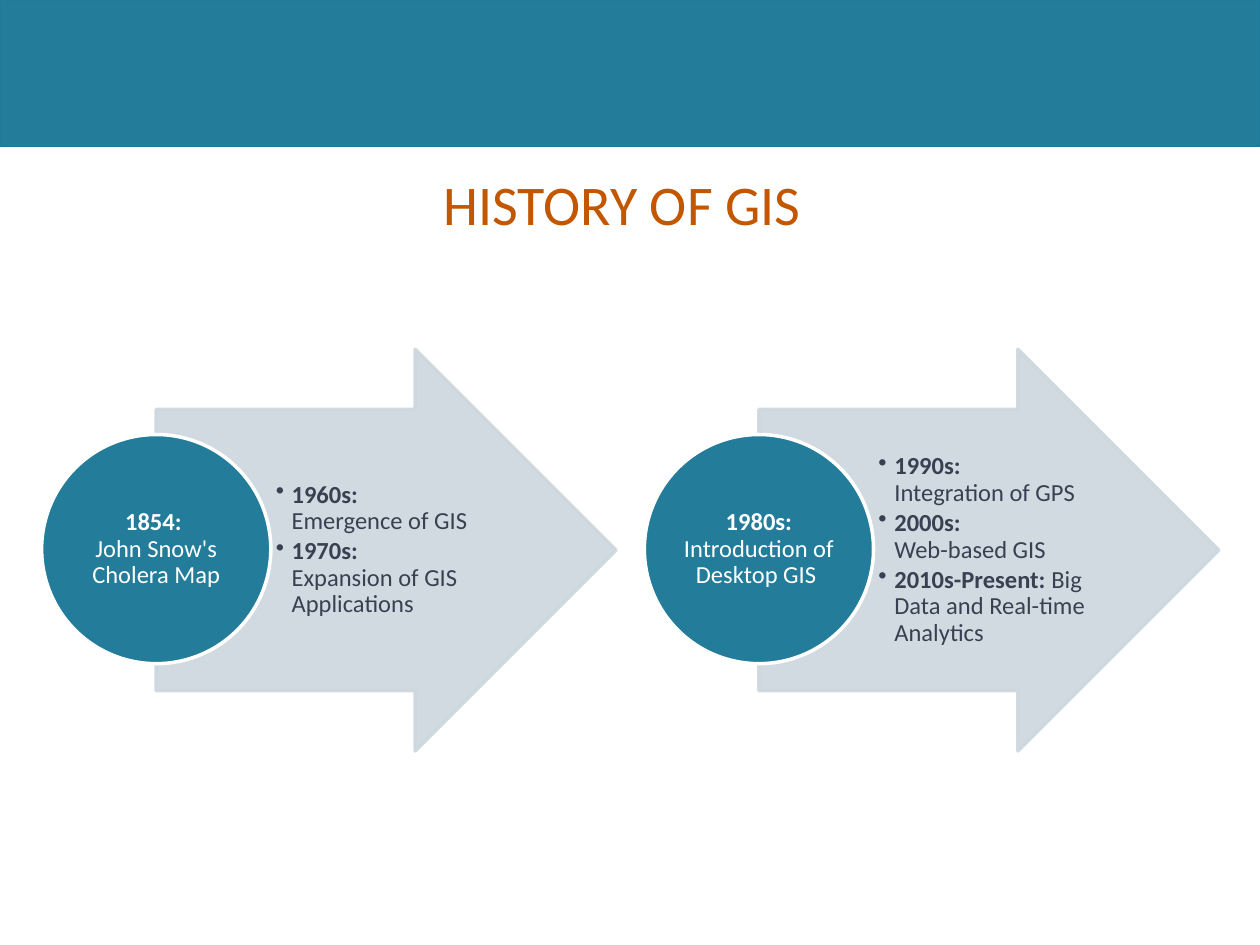
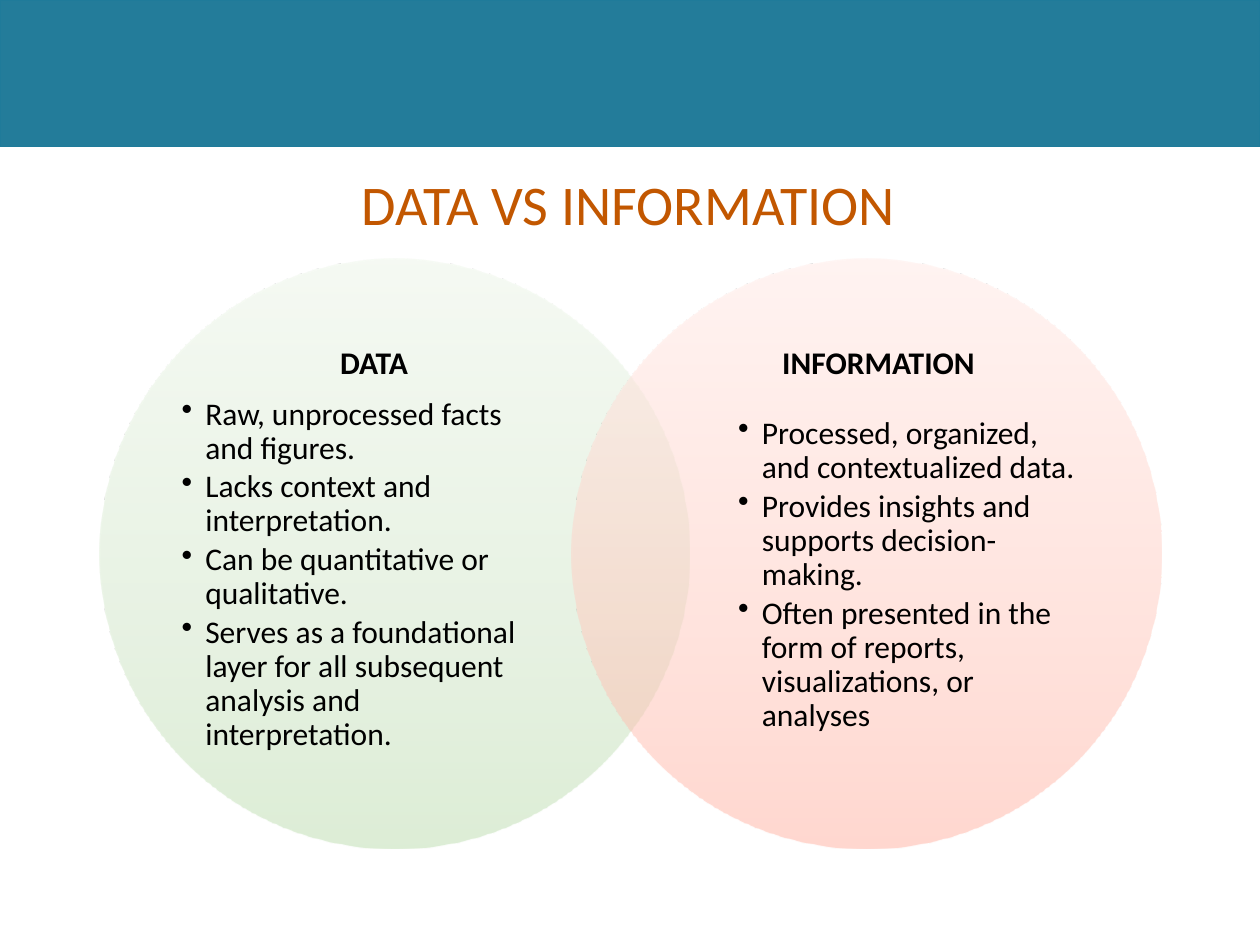
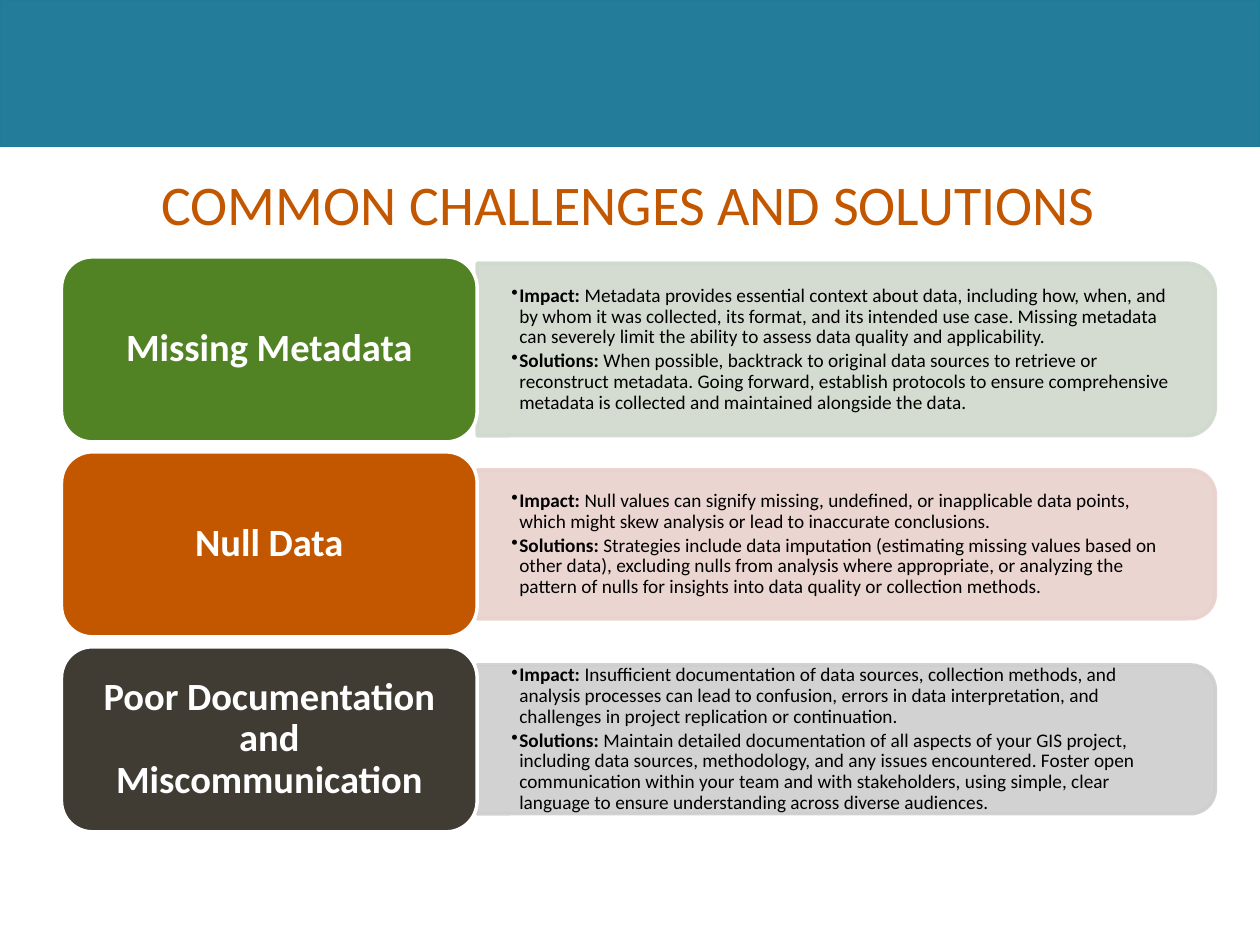
"""Build three GIS lecture slides: history, data versus information, challenges."""
from typing import NamedTuple, Optional, Sequence

from lxml.etree import SubElement
from pptx import Presentation
from pptx.dml.color import RGBColor as Rgb
from pptx.enum.shapes import MSO_SHAPE as Preset
from pptx.enum.text import MSO_ANCHOR as Anchor, PP_ALIGN as Align
from pptx.oxml.ns import qn
from pptx.shapes.autoshape import Shape
from pptx.slide import Slide
from pptx.text.text import TextFrame
from pptx.util import Cm, Pt

FONT = "Calibri"
COLORS = {
    "teal": "237C9A", "band_edge": "1F7B9A", "orange": "C25700",
    "arrow": "CDD7DE", "slate": "374151", "white": "FFFFFF", "black": "000000",
    "green": "518325", "green_tint": "D0D9CD", "orange_tint": "E9D1CC",
    "brown": "403B33", "brown_tint": "CFCECE",
}
GREENS = ("BCDDAE", "D0E6C7", "EDF6E9")
REDS = ("FFB1A1", "FFC8BC", "FFEAE6")
STOPS = (0, 35, 100)


class Box(NamedTuple):
    left: float
    top: float
    width: float
    height: float

    def lengths(self) -> list[Cm]:
        return [Cm(value) for value in self]


class Entry(NamedTuple):
    bold: str = ""
    plain: str = ""


class Era(NamedTuple):
    start: Entry
    events: Sequence[Entry]


class VennSide(NamedTuple):
    heading: str
    heading_box: Box
    circle_left: float
    list_left: float
    shades: Sequence[str]
    points: Sequence[str]


class Challenge(NamedTuple):
    name: str
    fill: str
    tint: str
    panel_height: float
    impact: str
    solutions: str


ERAS = [
    Era(Entry("1854: \n", "John Snow's Cholera Map"), [
        Entry("1960s: \n", "Emergence of GIS"),
        Entry("1970s: \n", "Expansion of GIS Applications"),
    ]),
    Era(Entry("1980s: ", "Introduction of Desktop GIS "), [
        Entry("1990s: \n", "Integration of GPS"),
        Entry("2000s: \n", "Web-based GIS"),
        Entry("2010s-Present: ", "Big Data and Real-time Analytics"),
    ]),
]

VENN_SIDES = [
    VennSide("DATA", Box(3.45, 6.78, 8.18, 1.65), 2.01, 3.66, GREENS, [
        "Raw, unprocessed facts and figures.",
        "Lacks context and interpretation.",
        "Can be quantitative or qualitative.",
        "Serves as a foundational layer for all subsequent analysis and interpretation.",
    ]),
    VennSide("INFORMATION", Box(12.01, 6.78, 11.4, 1.65), 11.53, 14.88, REDS, [
        "Processed, organized, and contextualized data.",
        "Provides insights and supports decision-making.",
        "Often presented in the form of reports, visualizations, or analyses",
    ]),
]

CHALLENGES = [
    Challenge(
        "Missing Metadata", "green", "green_tint", 3.48,
        " Metadata provides essential context about data, including how, when, and by whom "
        "it was collected, its format, and its intended use case. Missing metadata can "
        "severely limit the ability to assess data quality and applicability.",
        " When possible, backtrack to original data sources to retrieve or reconstruct "
        "metadata. Going forward, establish protocols to ensure comprehensive metadata is "
        "collected and maintained alongside the data."),
    Challenge(
        "Null Data", "orange", "orange_tint", 3.0,
        " Null values can signify missing, undefined, or inapplicable data points, which "
        "might skew analysis or lead to inaccurate conclusions.",
        " Strategies include data imputation (estimating missing values based on other "
        "data), excluding nulls from analysis where appropriate, or analyzing the pattern "
        "of nulls for insights into data quality or collection methods."),
    Challenge(
        "Poor Documentation and Miscommunication", "brown", "brown_tint", 3.0,
        " Insufficient documentation of data sources, collection methods, and analysis "
        "processes can lead to confusion, errors in data interpretation, and challenges in "
        "project replication or continuation.",
        " Maintain detailed documentation of all aspects of your GIS project, including "
        "data sources, methodology, and any issues encountered. Foster open communication "
        "within your team and with stakeholders, using simple, clear language to ensure "
        "understanding across diverse audiences."),
]


def write(frame: TextFrame, entries: Sequence[Entry], *, size: float, color: str,
          align: Align = Align.LEFT, anchor: Anchor = Anchor.MIDDLE,
          insets: Sequence[float] = (0, 0, 0, 0), spacing: float = 0.9,
          bullet_indent: float = 0) -> None:
    frame.word_wrap = True
    frame.vertical_anchor = anchor
    (frame.margin_left, frame.margin_top,
     frame.margin_right, frame.margin_bottom) = map(Cm, insets)
    for index, entry in enumerate(entries):
        paragraph = frame.paragraphs[0] if index == 0 else frame.add_paragraph()
        paragraph.alignment = align
        paragraph.line_spacing = spacing
        if bullet_indent:
            paragraph.space_after = Pt(size * 0.15)
            properties = paragraph._p.get_or_add_pPr()
            properties.set("marL", str(Cm(bullet_indent)))
            properties.set("indent", str(-Cm(bullet_indent)))
            SubElement(properties, qn("a:buChar"), char="•")
        for text, bold in ((entry.bold, True), (entry.plain, False)):
            if not text:
                continue
            run = paragraph.add_run()
            run.text = text.rstrip("\n")
            run.font.name, run.font.size, run.font.bold = FONT, Pt(size), bold
            run.font.color.rgb = Rgb.from_string(COLORS[color])
            if text.endswith("\n"):
                paragraph.add_line_break()
                SubElement(paragraph._p[-1], qn("a:rPr"), sz=str(size * 100))


def add_text(slide: Slide, box: Box, entries: Sequence[Entry], **text_format) -> None:
    write(slide.shapes.add_textbox(*box.lengths()).text_frame, entries, **text_format)


def add_figure(slide: Slide, preset: Preset, box: Box, fill: Optional[str] = None,
               line: Optional[str] = None, line_width: float = 2) -> Shape:
    figure = slide.shapes.add_shape(preset, *box.lengths())
    figure.shadow.inherit = False
    if fill:
        figure.fill.solid()
        figure.fill.fore_color.rgb = Rgb.from_string(COLORS[fill])
    if line:
        figure.line.color.rgb = Rgb.from_string(COLORS[line])
        figure.line.width = Pt(line_width)
    else:
        figure.line.fill.background()
    return figure


def set_opacity(figure: Shape, percent: int) -> None:
    for color in figure.element.spPr.iter(qn("a:srgbClr")):
        SubElement(color, qn("a:alpha"), val=str(percent * 1000))


def shade_upwards(figure: Shape, shades: Sequence[str]) -> None:
    figure.fill.gradient()
    figure.fill.gradient_angle = 90
    stop_list = figure.element.spPr.find(".//" + qn("a:gsLst"))
    for stop in list(stop_list):
        stop_list.remove(stop)
    for position, shade in zip(STOPS, shades):
        stop = SubElement(stop_list, qn("a:gs"), pos=str(position * 1000))
        SubElement(stop, qn("a:srgbClr"), val=shade)


def add_titled_slide(deck, title: str) -> Slide:
    slide = deck.slides.add_slide(deck.slide_layouts[5])
    add_figure(slide, Preset.RECTANGLE, Box(0, 0, 25.4, 2.95), "teal", "band_edge", 0.75)
    heading = slide.shapes.title
    heading.left, heading.top, heading.width, heading.height = Box(
        1.24, 3.2, 22.86, 1.65).lengths()
    write(heading.text_frame, [Entry(plain=title)], size=32, color="orange",
          align=Align.CENTER, insets=(0.25, 0.13, 0.25, 0), spacing=1.0)
    return slide


def add_history(deck) -> None:
    slide = add_titled_slide(deck, "HISTORY OF GIS ")
    for index, era in enumerate(ERAS):
        left = 0.84 + index * 12.15
        arrow = add_figure(slide, Preset.RIGHT_ARROW, Box(left + 2.31, 7.04, 9.27, 8.1),
                           "arrow", "arrow")
        arrow.adjustments[0], arrow.adjustments[1] = 0.7, 0.5
        set_opacity(arrow, 90)
        add_text(slide, Box(left + 4.62, 8.26, 4.52, 5.66), era.events, size=14,
                 color="slate", insets=(0.1, 0.03, 0.05, 0.03), bullet_indent=0.32)
        circle = add_figure(slide, Preset.OVAL, Box(left, 8.76, 4.62, 4.62), "teal", "white")
        write(circle.text_frame, [era.start], size=14, color="white",
              align=Align.CENTER, insets=(0.03,) * 4)


def add_comparison(deck) -> None:
    slide = add_titled_slide(deck, "DATA VS INFORMATION")
    for side in VENN_SIDES:
        circle = add_figure(slide, Preset.OVAL, Box(side.circle_left, 5.21, 11.89, 11.89))
        shade_upwards(circle, side.shades)
        set_opacity(circle, 50)
        add_text(slide, Box(side.list_left, 7.52, 6.86, 8.15),
                 [Entry(plain=point) for point in side.points],
                 size=18, color="black", bullet_indent=0.48)
    for side in VENN_SIDES:
        add_text(slide, side.heading_box, [Entry(side.heading)], size=18, color="black",
                 align=Align.CENTER, anchor=Anchor.TOP, insets=(0.25, 0.13, 0.25, 0),
                 spacing=1.0)


def add_challenges(deck) -> None:
    slide = add_titled_slide(deck, "COMMON CHALLENGES AND SOLUTIONS")
    label_left, label_width, label_height = 1.24, 8.38, 3.73
    panel_left, panel_width = label_left + label_width, 14.88
    for index, challenge in enumerate(CHALLENGES):
        top = 5.18 + index * 3.93
        middle = top + label_height / 2
        height = challenge.panel_height
        panel = add_figure(
            slide, Preset.ROUND_2_SAME_RECTANGLE,
            Box(panel_left + (panel_width - height) / 2, middle - panel_width / 2,
                height, panel_width),
            challenge.tint, challenge.tint)
        panel.rotation = 90
        set_opacity(panel, 90)
        text_height = height - 0.32
        add_text(slide, Box(panel_left, middle - text_height / 2, 14.73, text_height),
                 [Entry("Impact:", challenge.impact),
                  Entry("Solutions:", challenge.solutions)],
                 size=11, color="black", insets=(0.69, 0.36, 0.69, 0.36),
                 bullet_indent=0.16)
        label = add_figure(slide, Preset.ROUNDED_RECTANGLE,
                           Box(label_left, top, label_width, label_height),
                           challenge.fill, "white")
        write(label.text_frame, [Entry(challenge.name)], size=22, color="white",
              align=Align.CENTER, insets=(0.23, 0.13, 0.23, 0.13))


def main() -> None:
    deck = Presentation()
    deck.slide_width, deck.slide_height = Cm(25.4), Cm(19.05)
    add_history(deck)
    add_comparison(deck)
    add_challenges(deck)
    deck.save("out.pptx")


if __name__ == "__main__":
    main()
